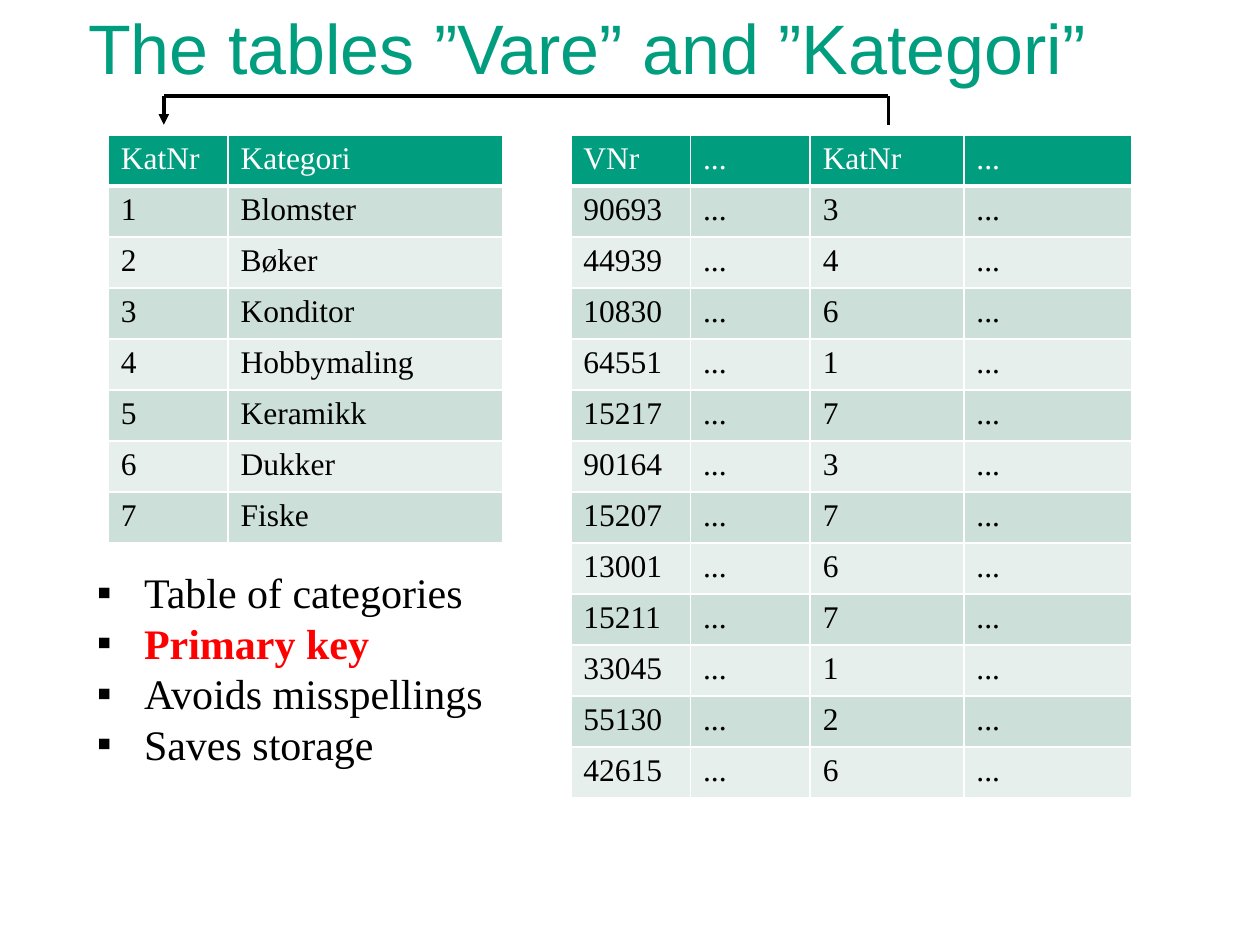
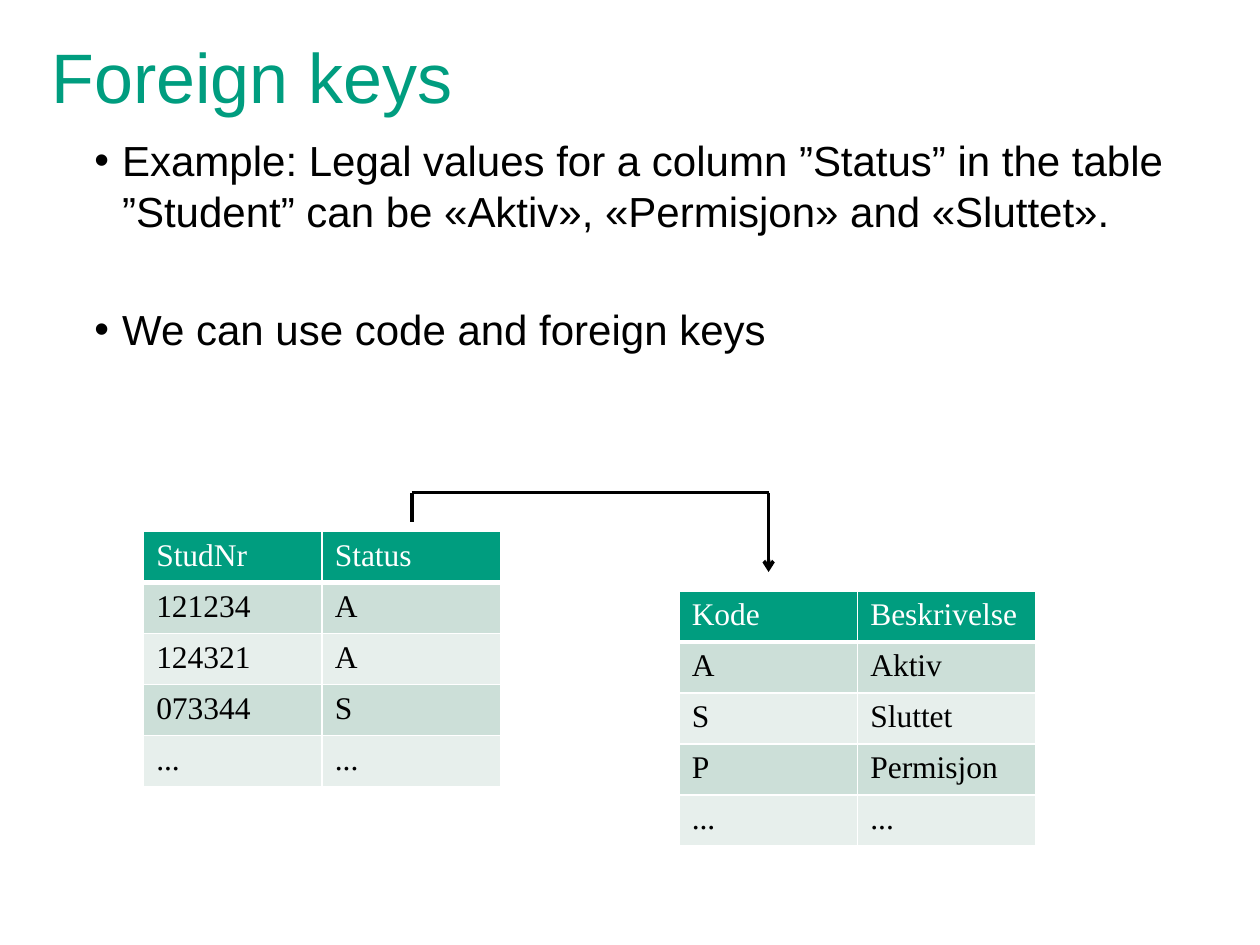
from lxml import etree
from pptx import Presentation
from pptx import util as u
from pptx.dml.color import RGBColor
from pptx.enum import shapes, text
from pptx.oxml.ns import qn

HUES = {"main": "009D7F", "dark": "CCDFD8", "pale": "E7EFEC",
        "ink": "000000", "key": "FF0000", "white": "FFFFFF"}
SANS, SERIF = "Arial", "Times New Roman"
COLS, ROWS = 100, 75          # grid of the slide
ROW = 4.05                    # height of a table row, in grid rows
DOTS = "..."

deck = Presentation()
deck.slide_width, deck.slide_height = u.Inches(10), u.Inches(7.5)


def hue(name):
    return RGBColor.from_string(HUES[name])


def across(n):
    return round(deck.slide_width * n / COLS)


def down(n):
    return round(deck.slide_height * n / ROWS)


def place(box):
    x, y, w, h = box
    return across(x), down(y), across(w), down(h)


def style(para, size, face, tint, bold=False):
    font = para.font
    font.size, font.name, font.bold = u.Pt(size), face, bold
    font.color.rgb = hue(tint)


def add_text(slide, box, inset=True):
    frame = slide.shapes.add_textbox(*place(box)).text_frame
    frame.word_wrap = True
    if not inset:
        frame.margin_left = frame.margin_right = 0
        frame.margin_top = frame.margin_bottom = 0
    return frame


def add_title(slide, box, words):
    frame = add_text(slide, box, inset=False)
    frame.vertical_anchor = text.MSO_ANCHOR.BOTTOM
    frame.text = words
    style(frame.paragraphs[0], 40, SANS, "main")


def add_list(slide, box, items, mark, indent, face, inset=True):
    """Items are (words, colour, bold, points before)."""
    frame = add_text(slide, box, inset)
    for i, (words, tint, bold, gap) in enumerate(items):
        para = frame.add_paragraph() if i else frame.paragraphs[0]
        para.text = words
        para.space_before = u.Pt(gap)
        props = para._p.get_or_add_pPr()
        props.set("marL", str(across(indent)))
        props.set("indent", str(-across(indent)))
        shade = etree.SubElement(props, qn("a:buClr"))
        etree.SubElement(shade, qn("a:srgbClr"), val=HUES["ink"])
        etree.SubElement(props, qn("a:buFont"), typeface=SANS)
        etree.SubElement(props, qn("a:buChar"), char=mark)
        style(para, 24, face, tint, bold)


def add_edges(cell, base):
    props = cell._tc.get_or_add_tcPr()
    for side, width in zip("LRTB", (1, 1, 1, base)):
        line = etree.SubElement(props, qn("a:ln" + side), w=str(u.Pt(width)))
        fill = etree.SubElement(line, qn("a:solidFill"))
        etree.SubElement(fill, qn("a:srgbClr"), val=HUES["white"])


def add_grid(slide, left, top, widths, data):
    box = left, top, sum(widths), ROW * len(data)
    table = slide.shapes.add_table(len(data), len(widths), *place(box)).table
    for col, width in zip(table.columns, widths):
        col.width = across(width)
    for r, line in enumerate(data):
        table.rows[r].height = down(ROW)
        for c, words in enumerate(line):
            cell = table.cell(r, c)
            add_edges(cell, 1 if r else 3)
            cell.fill.solid()
            cell.fill.fore_color.rgb = hue(
                ("dark" if r % 2 else "pale") if r else "main")
            cell.text = words
            style(cell.text_frame.paragraphs[0], 18, SERIF,
                  "ink" if r else "white")


def add_link(slide, start, end, top, head):
    """Bracket from start up to top, across, and down to end."""
    (x1, y1), (x2, y2) = start, end
    spots = [(x1, y1), (x1, top), (x2, top), (x2, y2)]
    for (ax, ay), (bx, by) in zip(spots, spots[1:]):
        part = slide.shapes.add_connector(
            shapes.MSO_CONNECTOR.STRAIGHT,
            across(ax), down(ay), across(bx), down(by))
        part.line.width = u.Pt(2)
        part.line.color.rgb = hue("ink")
        etree.SubElement(part._element.spPr, qn("a:effectLst"))
    etree.SubElement(part.line._get_or_add_ln(), qn("a:tailEnd"), type=head)


def new_slide():
    return deck.slides.add_slide(deck.slide_layouts[6])


# Slide 1: categories and goods
def goods_slide():
    slide = new_slide()
    add_title(slide, (7, 0.3, 85, 6.7), "The tables ”Vare” and ”Kategori”")
    names = ["Blomster", "Bøker", "Konditor", "Hobbymaling", "Keramikk",
             "Dukker", "Fiske"]
    kinds = [("KatNr", "Kategori")]
    kinds += [(str(n), name) for n, name in enumerate(names, 1)]
    add_grid(slide, 8.6, 10.7, [9.5, 21.8], kinds)

    add_list(slide, (6.7, 44.5, 35, 17.2),
             [("Table of categories", "ink", False, 0),
              ("Primary key", "key", True, 0),
              ("Avoids misspellings", "ink", False, 0),
              ("Saves storage", "ink", False, 0)], "▪", 3.75, SERIF)

    goods = [("VNr", "KatNr"), ("90693", "3"), ("44939", "4"), ("10830", "6"),
             ("64551", "1"), ("15217", "7"), ("90164", "3"), ("15207", "7"),
             ("13001", "6"), ("15211", "7"), ("33045", "1"), ("55130", "2"),
             ("42615", "6")]
    add_grid(slide, 45.3, 10.7, [9.5, 9.5, 12.2, 13.3],
             [(item, DOTS, kind, DOTS) for item, kind in goods])
    add_link(slide, (70.5, 9.9), (13, 9.9), 7.6, "triangle")


# Slide 2: student status codes
def keys_slide():
    slide = new_slide()
    add_title(slide, (4.1, 2.6, 91.7, 6.7), "Foreign keys")
    add_list(slide, (7.5, 10.7, 85, 19.7),
             [("Example: Legal values for a column ”Status” in the table "
               "”Student” can be «Aktiv», «Permisjon» and «Sluttet».",
               "ink", False, 4.8),
              ("We can use code and foreign keys", "ink", False, 39)],
             "•", 2.2, SANS, inset=False)
    halves = [14.17, 14.17]
    add_grid(slide, 11.4, 42.2, halves,
             [("StudNr", "Status"), ("121234", "A"), ("124321", "A"),
              ("073344", "S"), (DOTS, DOTS)])
    add_grid(slide, 53.9, 46.9, halves,
             [("Kode", "Beskrivelse"), ("A", "Aktiv"), ("S", "Sluttet"),
              ("P", "Permisjon"), (DOTS, DOTS)])
    add_link(slide, (32.7, 41.4), (61, 45.4), 39.1, "arrow")


goods_slide()
keys_slide()
deck.save("out.pptx")
